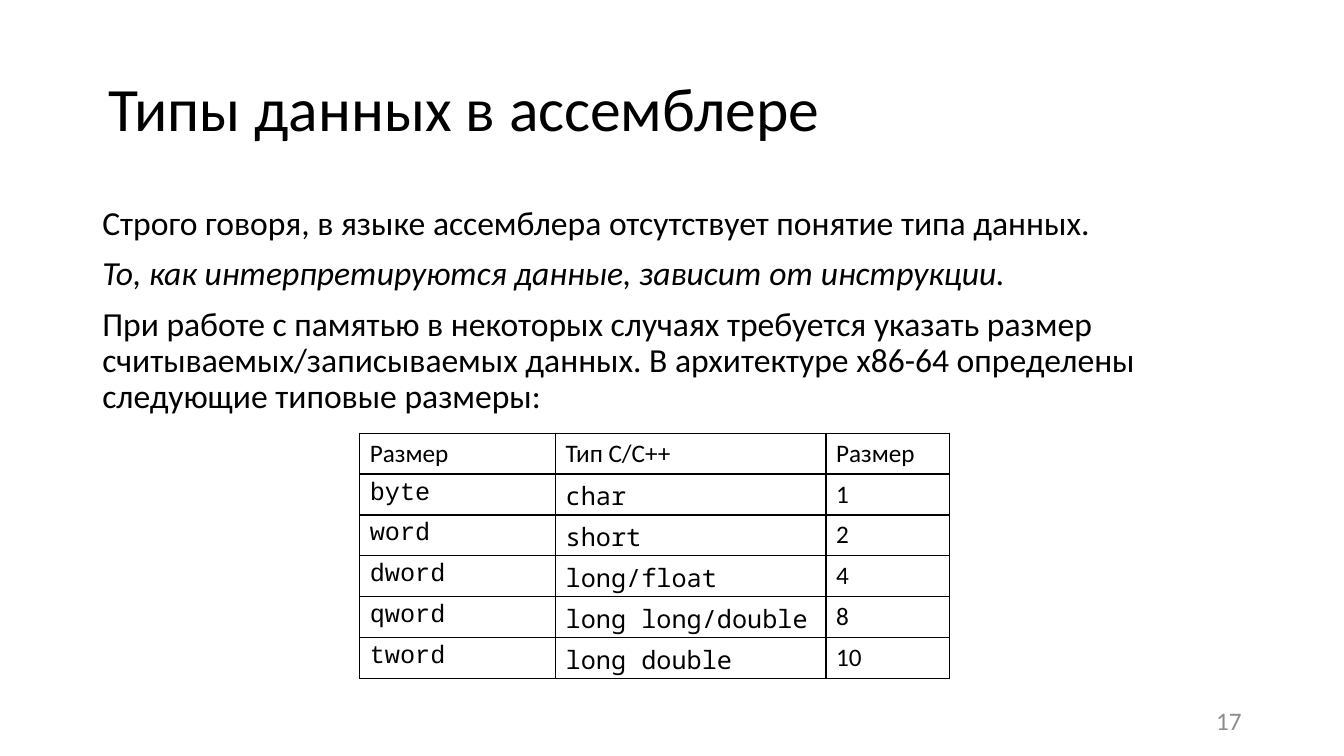
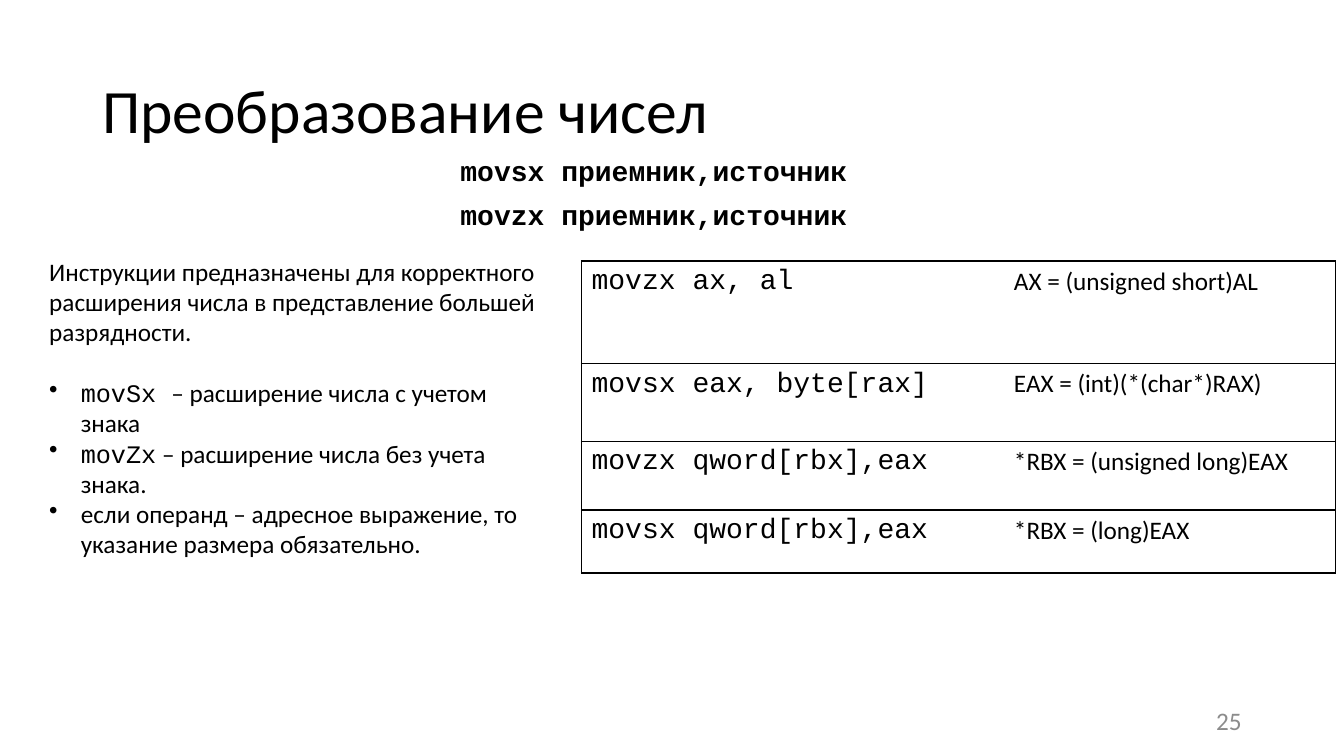
from dataclasses import dataclass
from typing import NamedTuple

from lxml import etree
from pptx import Presentation
from pptx import util as u
from pptx.dml.color import RGBColor
from pptx.enum import text
from pptx.oxml import ns


@dataclass(frozen=True)
class Theme:
    ink: RGBColor = RGBColor(0, 0, 0)
    muted: RGBColor = RGBColor(0x8C, 0x8C, 0x8C)
    sans: str = "Calibri"
    code: str = "Courier New"
    mono: str = "Noto Sans Mono"
    title: int = 44
    lead: int = 24
    syntax: int = 20
    body: int = 18
    tight: float = 0.9
    gap: int = 10
    border: int = 1


THEME = Theme()


class Area(NamedTuple):
    left: float
    top: float
    width: float
    height: float


class Span(NamedTuple):
    words: str
    font: str = THEME.sans
    size: int = THEME.body
    bold: bool = False
    italic: bool = False
    color: RGBColor = THEME.ink


class Para(NamedTuple):
    spans: list[Span]
    before: float = 0
    spacing: float = 1.0
    align: text.PP_ALIGN = text.PP_ALIGN.LEFT
    bullet: bool = False


def write_para(para, content: Para) -> None:
    if content.bullet:
        properties = para._p.get_or_add_pPr()
        indent = u.Pt(22.5)
        properties.set("marL", str(indent))
        properties.set("indent", str(-indent))
        etree.SubElement(properties, ns.qn("a:buChar")).set("char", "•")
    layout = {
        "space_before": u.Pt(content.before),
        "line_spacing": content.spacing,
        "alignment": content.align,
    }
    for name, value in layout.items():
        setattr(para, name, value)
    for span in content.spans:
        run = para.add_run()
        run.text = span.words
        style = {
            "name": span.font,
            "size": u.Pt(span.size),
            "bold": span.bold,
            "italic": span.italic,
        }
        for name, value in style.items():
            setattr(run.font, name, value)
        run.font.color.rgb = span.color


def add_text(page, area: Area, paras: list[Para],
             anchor: text.MSO_ANCHOR = text.MSO_ANCHOR.TOP) -> None:
    box = page.shapes.add_textbox(*map(u.Pt, area))
    frame = box.text_frame
    frame.word_wrap = True
    frame.vertical_anchor = anchor
    for index, content in enumerate(paras):
        para = frame.add_paragraph() if index else frame.paragraphs[0]
        write_para(para, content)


def set_borders(cell, sides: str) -> None:
    """Draw the sides named by the letters L, R, T, B and clear the others."""
    properties = cell._tc.get_or_add_tcPr()
    for side in "LRTB":
        line = etree.SubElement(properties, ns.qn(f"a:ln{side}"))
        line.set("w", str(u.Pt(THEME.border)))
        if side in sides:
            fill = etree.SubElement(line, ns.qn("a:solidFill"))
            etree.SubElement(fill, ns.qn("a:srgbClr")).set("val", str(THEME.ink))
        else:
            etree.SubElement(line, ns.qn("a:noFill"))


def add_grid(page, left: float, top: float, widths: list[float],
             heights: list[float], rows: list[list[Span]],
             column_borders: list[str]) -> None:
    area = Area(left, top, sum(widths), sum(heights))
    table = page.shapes.add_table(
        len(rows), len(widths), *map(u.Pt, area)).table
    table.first_row = table.horz_banding = False
    for column, width in zip(table.columns, widths):
        column.width = u.Pt(width)
    for row, height, spans in zip(table.rows, heights, rows):
        row.height = u.Pt(height)
        for cell, span, sides in zip(row.cells, spans, column_borders):
            set_borders(cell, sides)
            cell.fill.background()
            write_para(cell.text_frame.paragraphs[0], Para([span]))


def add_page(deck, title: str, left: float, top: float, number: int):
    page = deck.slides.add_slide(deck.slide_layouts[6])
    middle = text.MSO_ANCHOR.MIDDLE
    heading = Para([Span(title, size=THEME.title)], spacing=THEME.tight)
    add_text(page, Area(left, top, 828, 104.4), [heading], middle)
    footer = Para([Span(str(number), color=THEME.muted)],
                  align=text.PP_ALIGN.RIGHT)
    add_text(page, Area(678, 500.5, 216, 28.75), [footer], middle)
    return page


def spaced(spans: list[Span]) -> list[Para]:
    return [Para([span], THEME.gap if index else 0, THEME.tight)
            for index, span in enumerate(spans)]


def add_data_types(deck) -> None:
    page = add_page(deck, "Типы данных в ассемблере", 70.6, 27.4, 17)
    add_text(page, Area(66, 144, 770.4, 342.7), spaced([
        Span("Строго говоря, в языке ассемблера отсутствует понятие типа данных.",
             size=THEME.lead),
        Span("То, как интерпретируются данные, зависит от инструкции.",
             size=THEME.lead, italic=True),
        Span("При работе с памятью в некоторых случаях требуется указать размер "
             "считываемых/записываемых данных. В архитектуре х86-64 определены "
             "следующие типовые размеры:", size=THEME.lead),
    ]))
    sizes = [
        ("byte", "char", "1"),
        ("word", "short", "2"),
        ("dword", "long/float", "4"),
        ("qword", "long long/double", "8"),
        ("tword", "long double", "10"),
    ]
    fonts = (THEME.code, THEME.mono, THEME.sans)
    rows = [[Span(name) for name in ("Размер", "Тип С/С++", "Размер")]]
    rows += [[Span(words, font) for words, font in zip(size, fonts)]
             for size in sizes]
    add_grid(page, 257, 309.4, [139.9, 193.2, 88], [29.2] * len(rows),
             rows, ["LRTB"] * 3)


def add_conversion(deck) -> None:
    page = add_page(deck, "Преобразование чисел", 66, 28.8, 25)
    add_text(page, Area(321.8, 108.7, 304.6, 64.8), spaced([
        Span(f"{name} приемник,источник", THEME.code, THEME.syntax, bold=True)
        for name in ("movsx", "movzx")]))
    examples = [
        ("movzx ax, al", "AX = (unsigned short)AL"),
        ("movsx eax, byte[rax]", "EAX = (int)(*(char*)RAX)"),
        ("movzx qword[rbx],eax", "*RBX = (unsigned long)EAX"),
        ("movsx qword[rbx],eax", "*RBX = (long)EAX"),
    ]
    rows = [[Span(code, THEME.code, THEME.syntax), Span(meaning)]
            for code, meaning in examples]
    add_grid(page, 415.4, 186.5, [301.7, 236.9], [73.4, 55.4, 49, 45],
             rows, ["LTB", "RTB"])
    add_text(page, Area(28.1, 179.3, 365.8, 225.4), [
        Para([Span("Инструкции предназначены для корректного расширения числа "
                   "в представление большей разрядности.")]),
        Para([Span("movSx ", THEME.code),
              Span("– расширение числа с учетом знака")],
             before=22, bullet=True),
        Para([Span("movZx", THEME.code),
              Span(" – расширение числа без учета знака.")], bullet=True),
        Para([Span("если операнд – адресное выражение, то указание размера "
                   "обязательно.")], bullet=True),
    ])


def main() -> None:
    deck = Presentation()
    deck.slide_width, deck.slide_height = u.Pt(960), u.Pt(540)
    add_data_types(deck)
    add_conversion(deck)
    deck.save("out.pptx")


if __name__ == "__main__":
    main()
